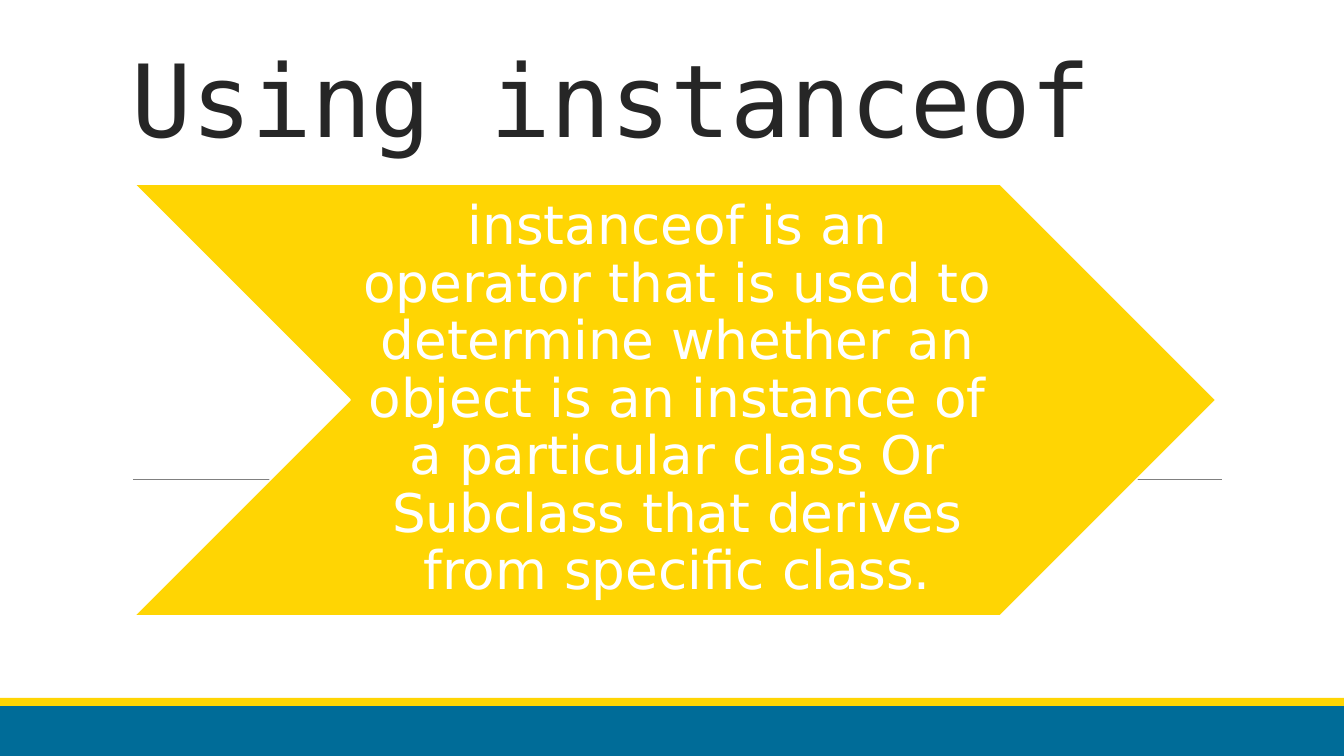
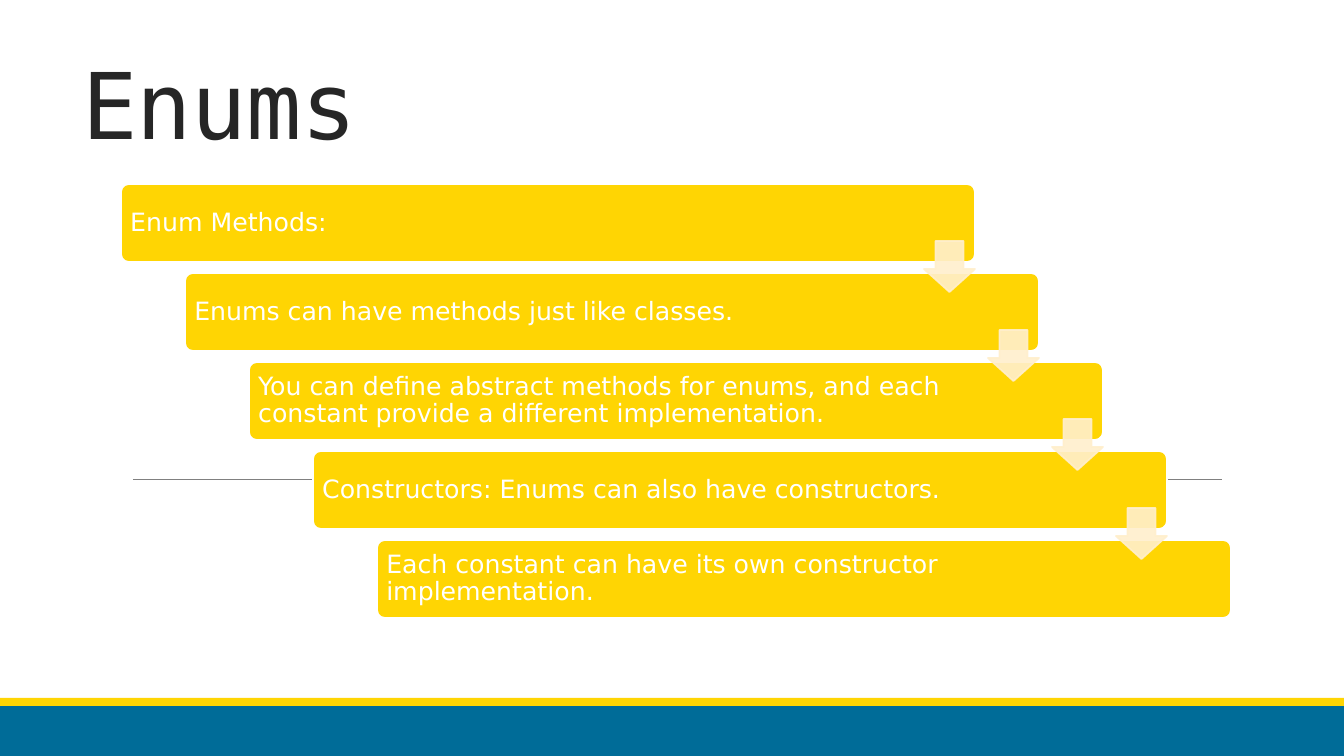
from dataclasses import dataclass

from lxml.etree import SubElement
from pptx import Presentation
from pptx.dml.color import RGBColor
from pptx.enum.shapes import MSO_CONNECTOR as Connector, MSO_SHAPE as Shape
from pptx.enum.text import MSO_ANCHOR as Anchor, MSO_AUTO_SIZE as AutoSize, PP_ALIGN as Align
from pptx.oxml.ns import qn
from pptx.util import Emu, Pt

WIDTH, HEIGHT = 1344, 756
EMU_PER_PX = 12192000 / WIDTH
TITLE_ONLY = 5


def px(length):
    return Emu(round(length * EMU_PER_PX))


@dataclass(frozen=True)
class Theme:
    blue: str = "006C98"
    yellow: str = "FFD503"
    cream: str = "FFEFCC"
    white: str = "FFFFFF"
    ink: str = "262626"
    grey: str = "808080"
    title_font: str = "DejaVu Sans Mono"
    body_font: str = "DejaVu Sans"
    title_size: float = 72
    long_title_box_size: float = 65.7
    statement_size: float = 38
    step_size: float = 18
    outline: float = 1.25
    hairline: float = 0.5


class Deck:
    def __init__(self, theme):
        self.theme = theme
        self.file = Presentation()
        self.file.slide_width, self.file.slide_height = px(WIDTH), px(HEIGHT)
        self.page = None

    def add_page(self, title, box, size):
        """Start a slide with the shared footer bands, rule and title."""
        self.page = self.file.slides.add_slide(self.file.slide_layouts[TITLE_ONLY])
        self.shape(Shape.RECTANGLE, (0, 706, WIDTH, 50), self.theme.blue)
        self.shape(Shape.RECTANGLE, (0, 698, WIDTH, 8), self.theme.yellow)
        self.rule(133, 1222, 479)
        self.title(title, box, size)

    def title(self, text, box, size):
        holder = self.page.shapes.title
        holder.left, holder.top, holder.width, holder.height = map(px, box)
        frame = holder.text_frame
        frame.text = text
        frame.auto_size = AutoSize.NONE
        frame.vertical_anchor = Anchor.BOTTOM
        para = frame.paragraphs[0]
        self.style(para, self.theme.title_font, size, self.theme.ink, Align.LEFT, 0.85)
        para.runs[0].font._element.set("spc", "-50")

    def rule(self, left, right, y):
        line = self.page.shapes.add_connector(
            Connector.STRAIGHT, px(left), px(y), px(right), px(y))
        line.line.color.rgb = RGBColor.from_string(self.theme.grey)
        line.line.width = Pt(self.theme.hairline)
        SubElement(line._element.spPr, qn("a:effectLst"))

    def shape(self, kind, box, fill, outline=None, adjustments=(), opacity=None):
        shape = self.page.shapes.add_shape(kind, *map(px, box))
        shape.shadow.inherit = False
        for index, value in enumerate(adjustments):
            shape.adjustments[index] = value
        shape.fill.solid()
        shape.fill.fore_color.rgb = RGBColor.from_string(fill)
        if outline:
            shape.line.color.rgb = RGBColor.from_string(outline)
            shape.line.width = Pt(self.theme.outline)
        else:
            shape.line.fill.background()
        if opacity is not None:
            for color in shape._element.spPr.iter(qn("a:srgbClr")):
                SubElement(color, qn("a:alpha"), val=str(opacity * 1000))
        return shape

    def label(self, shape, text, size, align, margins):
        """Write text inside a shape; margins are left, top, right, bottom."""
        frame = shape.text_frame
        frame.text = text
        frame.word_wrap = True
        frame.vertical_anchor = Anchor.MIDDLE
        (frame.margin_left, frame.margin_top,
         frame.margin_right, frame.margin_bottom) = map(px, margins)
        self.style(frame.paragraphs[0], self.theme.body_font, size,
                   self.theme.white, align, 0.9)

    def style(self, para, font, size, color, align, spacing):
        para.font.name, para.font.size, para.font.bold = font, Pt(size), False
        para.font.color.rgb = RGBColor.from_string(color)
        para.alignment, para.line_spacing = align, spacing

    def staircase(self, steps):
        """Draw boxes that step down to the right, with an arrow between neighbours."""
        theme = self.theme
        left, top, width, height = 121, 184, 854, 78
        step_x, step_y = 64, 89
        arrow_size, arrow_drop = 51, 57
        corners = [(left + step_x * i, top + step_y * i) for i in range(len(steps))]
        for (x, y), text in zip(corners, steps):
            box = self.shape(Shape.ROUNDED_RECTANGLE, (x, y, width, height),
                             theme.yellow, theme.white, (0.1,))
            self.label(box, text, theme.step_size, Align.LEFT, (7, 7, 122, 7))
        for x, y in corners[:-1]:
            self.shape(Shape.DOWN_ARROW,
                       (x + width - arrow_size, y + arrow_drop, arrow_size, arrow_size),
                       theme.cream, theme.cream, (0.55, 0.45), opacity=90)


def main():
    theme = Theme()
    deck = Deck(theme)

    deck.add_page("Using instanceof", (121, 60, 1109, 103), theme.title_size)
    chevron = deck.shape(Shape.CHEVRON, (134, 184, 1082, 432), theme.yellow, theme.white)
    deck.label(
        chevron,
        "instanceof is an operator that is used to determine whether an object is "
        "an instance of a particular class Or Subclass that derives from specific class.",
        theme.statement_size, Align.CENTER, (5, 3, 0, 3))

    deck.add_page("Enums", (72, 58, 1168, 105), theme.long_title_box_size)
    deck.staircase([
        "Enum Methods:",
        "Enums can have methods just like classes.",
        "You can define abstract methods for enums, and each constant provide "
        "a different implementation.",
        "Constructors: Enums can also have constructors.",
        "Each constant can have its own constructor implementation.",
    ])

    deck.file.save("out.pptx")


if __name__ == "__main__":
    main()
